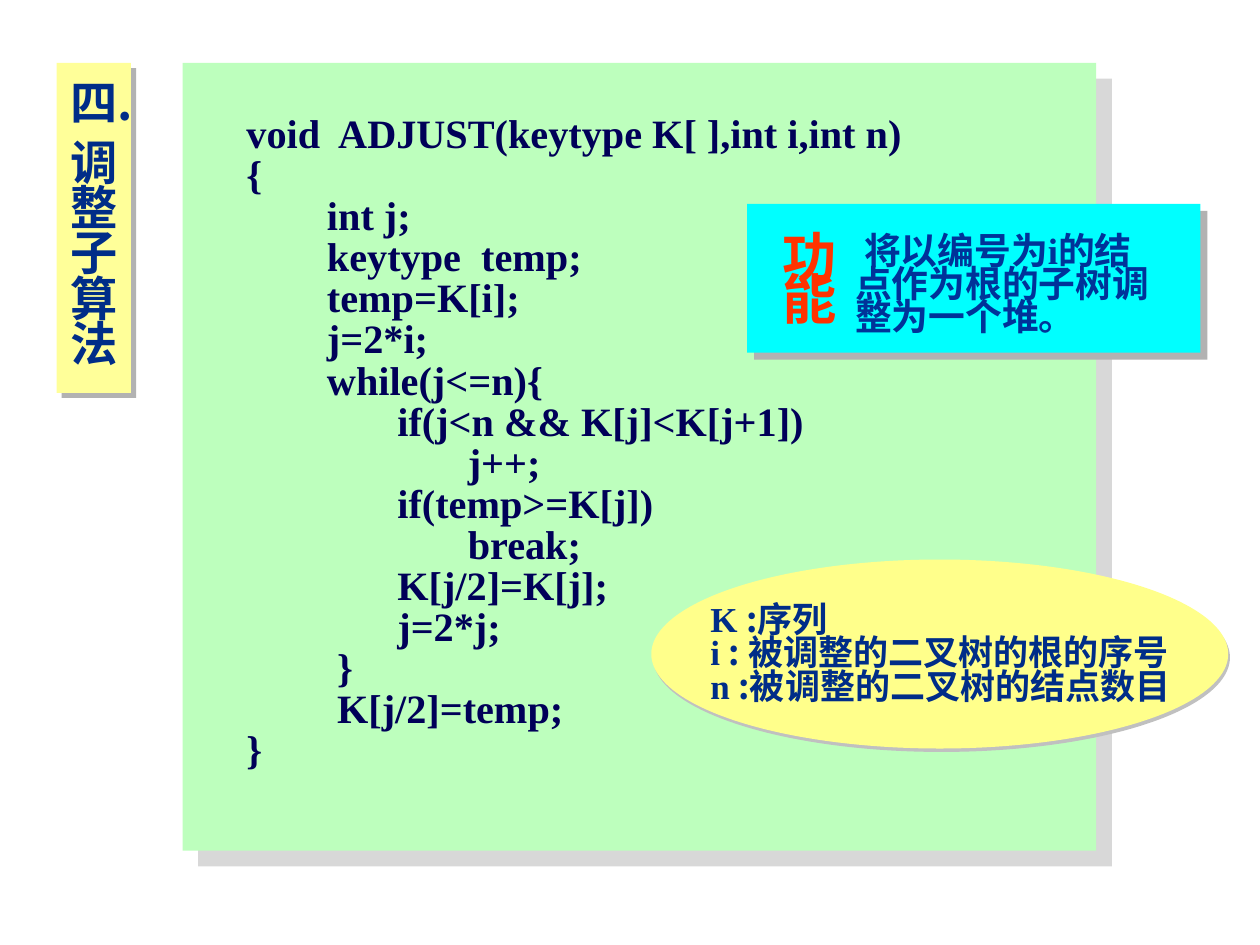
"""Build the slide on the heap subtree adjustment algorithm."""
from lxml.etree import SubElement as Sub
from pptx import Presentation
from pptx.dml.color import RGBColor as Rgb
from pptx.enum.shapes import MSO_SHAPE as Shape
from pptx.enum.text import MSO_ANCHOR as Anchor, MSO_AUTO_SIZE as Auto, PP_ALIGN as Align
from pptx.oxml.ns import qn
from pptx.util import Cm, Pt

COLORS = {"green": "BDFFBD", "pale": "FFFF99", "cyan": "00FFFF", "lemon": "FFFF8B",
          "code": "000058", "navy": "002D88", "blue": "003399", "red": "FF3300",
          "gray": "B2B2B2", "silver": "C0C0C0", "white": "FFFFFF"}
LATIN, HAN, HAN_JP = "Times New Roman", "Noto Sans CJK SC", "Noto Sans CJK JP"

TITLE = ["四.", "调", "整", "子", "算", "法"]
CODE = """void  ADJUST(keytype K[ ],int i,int n)
{
        int j;
        keytype  temp;
        temp=K[i];
        j=2*i;
        while(j<=n){
               if(j<n && K[j]<K[j+1])
                      j++;
               if(temp>=K[j])
                      break;
               K[j/2]=K[j];
               j=2*j;
         }
         K[j/2]=temp;
}""".split("\n")
LABEL = ["功", "能"]
PURPOSE = [[("将以编号为", HAN), ("i", LATIN), ("的结", HAN)],
           "点作为根的子树调", "整为一个堆。"]
LEGEND = [[("K ", LATIN), (":序列", HAN)],
          [("i ", LATIN), (": 被调整的二叉树的根的序号", HAN)],
          [("n ", LATIN), (":被调整的二叉树的结点数目", HAN)]]

PANELS = {
    "code": dict(kind=Shape.RECTANGLE, box=(3.68, 1.27, 18.42, 15.88), fill="green",
                 shadow=("gray", 50, 12.7, 45)),
    "title": dict(kind=Shape.RECTANGLE, box=(1.14, 1.27, 1.5, 6.65), fill="pale",
                  shadow=("gray", 100, 4.2, 45)),
    "purpose": dict(kind=Shape.RECTANGLE, box=(15.06, 4.11, 9.14, 3), fill="cyan",
                    shadow=("gray", 100, 5.7, 45)),
    "legend": dict(kind=Shape.OVAL, box=(13.13, 11.28, 11.63, 3.81), fill="lemon",
                   shadow=("silver", 100, 2.2, 63)),
}


def make_shadow(parent, color, alpha, dist, angle):
    """Add an outer shadow to a properties element and return its effect list."""
    effects = Sub(parent, qn("a:effectLst"))
    outer = Sub(effects, qn("a:outerShdw"), dist=str(Pt(dist)), dir=str(angle * 60000),
                algn="ctr", rotWithShape="0")
    clr = Sub(outer, qn("a:srgbClr"), val=COLORS[color])
    Sub(clr, qn("a:alpha"), val=str(alpha * 1000))
    return effects


def add_panel(slide, kind, box, fill, shadow):
    """Draw a filled panel with its shadow."""
    s = slide.shapes.add_shape(kind, *map(Cm, box))
    s.fill.solid()
    s.fill.fore_color.rgb = Rgb.from_string(COLORS[fill])
    s.line.fill.background()
    make_shadow(s._element.spPr, *shadow)


def write(s, paras, size, color, font, spacing, wrap=True, first_after=0,
          first_indent=0, shadow=None):
    """Write paragraphs, each a string or a list of (text, font) runs."""
    tf = s.text_frame
    tf.word_wrap, tf.auto_size, tf.vertical_anchor = wrap, Auto.NONE, Anchor.TOP
    tf.margin_left = tf.margin_right = Cm(0.25)
    tf.margin_top = tf.margin_bottom = Cm(0.13)
    for i, runs in enumerate(paras):
        p = tf.add_paragraph() if i else tf.paragraphs[0]
        p.alignment, p.line_spacing = Align.LEFT, spacing
        p.space_before, p.space_after = Pt(0), Pt(0 if i else first_after)
        if first_indent and not i:
            p._p.get_or_add_pPr().set("indent", str(Cm(first_indent)))
        for text, face in [(runs, font)] if isinstance(runs, str) else runs:
            r = p.add_run()
            r.text = text
            r.font.size, r.font.bold = Pt(size), True
            r.font.color.rgb = Rgb.from_string(COLORS[color])
            rPr = r._r.get_or_add_rPr()
            if shadow:
                make_shadow(rPr, *shadow)
            for tag in ("a:latin", "a:ea"):
                Sub(rPr, qn(tag), typeface=face)


def add_text(slide, box, paras, **fmt):
    """Place a text box and write into it."""
    write(slide.shapes.add_textbox(*map(Cm, box)), paras, **fmt)


def main():
    """Assemble and save the slide."""
    prs = Presentation()
    prs.slide_width, prs.slide_height = Cm(25.4), Cm(19.05)
    slide = prs.slides.add_slide(prs.slide_layouts[5])

    add_panel(slide, **PANELS["code"])
    add_text(slide, (4.72, 2.21, 16.69, 13.51), CODE,
             size=23, color="code", font=LATIN, spacing=0.85)

    add_panel(slide, **PANELS["title"])
    title = slide.shapes.title
    title.left, title.top, title.width, title.height = map(Cm, (1.17, 1.57, 2.34, 6.07))
    write(title, TITLE, size=27, color="navy", font=HAN, spacing=0.8, first_after=8)
    slide.shapes._spTree.append(title._element)

    add_panel(slide, **PANELS["purpose"])
    add_text(slide, (16.99, 4.67, 8.31, 2.26), PURPOSE,
             size=21, color="blue", font=HAN, spacing=0.75, first_indent=0.18)
    add_text(slide, (15.52, 4.78, 1.6, 1.96), LABEL, size=31, color="red", font=HAN_JP,
             spacing=0.65, wrap=False, shadow=("white", 100, 2, 45))

    add_panel(slide, **PANELS["legend"])
    add_text(slide, (14.07, 12.07, 11.2, 2.29), LEGEND,
             size=20, color="navy", font=HAN, spacing=0.8)
    prs.save("out.pptx")


if __name__ == "__main__":
    main()
